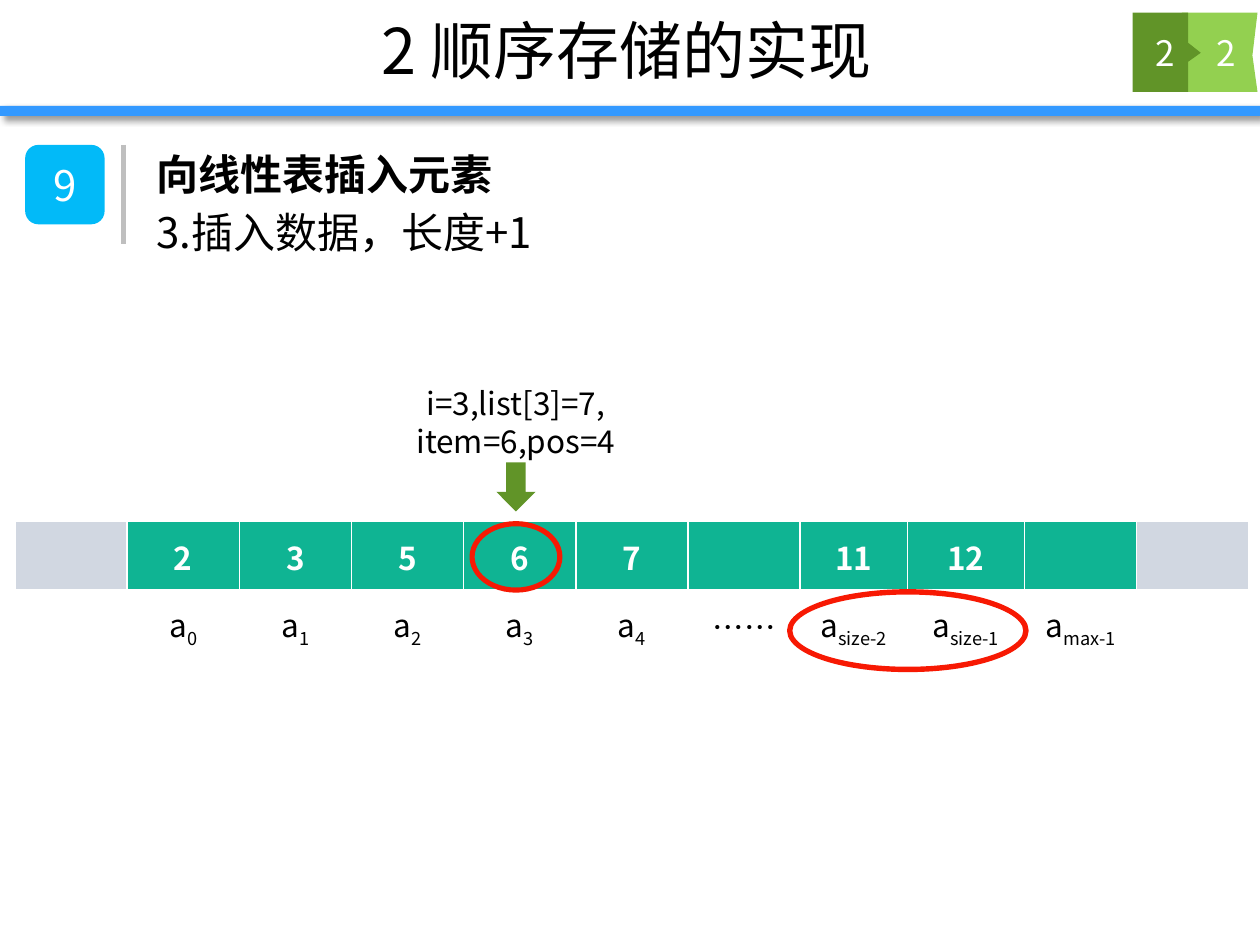
"""Build the slide on inserting an element into a sequentially stored linear list."""
from typing import NamedTuple

from lxml import etree
from pptx import Presentation
from pptx.dml.color import RGBColor
from pptx.enum.shapes import MSO_CONNECTOR, MSO_SHAPE
from pptx.enum.text import MSO_ANCHOR, PP_ALIGN
from pptx.oxml.ns import qn
from pptx.util import Pt

FONT = "Noto Sans CJK SC"
BLACK, WHITE, RED = "000000", "FFFFFF", "F71903"
GREEN, LIME, TEAL, GREY = "619428", "93D050", "0FB493", "D1D7E1"
LEFT, CENTER = PP_ALIGN.LEFT, PP_ALIGN.CENTER
TOP, MIDDLE = MSO_ANCHOR.TOP, MSO_ANCHOR.MIDDLE
RECTANGLE, ROUNDED = MSO_SHAPE.RECTANGLE, MSO_SHAPE.ROUNDED_RECTANGLE
DOWN_ARROW, DONUT = MSO_SHAPE.DOWN_ARROW, MSO_SHAPE.DONUT
STRAIGHT = MSO_CONNECTOR.STRAIGHT


class Box(NamedTuple):
    """Left, top, width and height in points."""
    left: float
    top: float
    width: float
    height: float

    def lengths(self) -> list:
        """Return the four values as lengths."""
        return [Pt(value) for value in self]


class Slot(NamedTuple):
    """One column of the list: its value, index label, subscript, fill and width."""
    value: str = ""
    label: str = ""
    subscript: str = ""
    fill: str = TEAL
    width: float = 64.1


class Caption(NamedTuple):
    """A text box and its format."""
    text: str
    box: Box
    style: dict


SLOTS = [
    Slot(fill=GREY),
    *(Slot(value, "a", str(index)) for index, value in enumerate("23567")),
    Slot(label="……"),
    Slot("11", "a", "size-2", width=61.2),
    Slot("12", "a", "size-1", width=67),
    Slot(label="a", subscript="max-1"),
    Slot(fill=GREY),
]
HEADING = {"size": 24, "align": LEFT, "anchor": TOP, "spacing": 1.2}
PAGE_NUMBER = {"size": 20, "color": WHITE}
CAPTIONS = [
    Caption("2 顺序存储的实现", Box(70.6, 0.7, 575.3, 55.4), {"size": 36}),
    Caption("2", Box(678.2, 7.2, 44.6, 45.4), PAGE_NUMBER),
    Caption("2", Box(643.7, 7.2, 44.6, 45.4), PAGE_NUMBER),
    Caption("向线性表插入元素", Box(82.1, 75.6, 635, 42.5), {**HEADING, "bold": True}),
    Caption("3.插入数据，长度+1", Box(82.1, 108.7, 635, 38.9), HEADING),
    Caption("i=3,list[3]=7,\nitem=6,pos=4", Box(223.9, 215.3, 141.8, 51.1), {}),
]
NEXT_FLAG = [(675.4, 7.2), (718.6, 7.2), (715.7, 31.7), (718.6, 52.6), (675.4, 52.6)]
CURRENT_FLAG = [(647.3, 7.2), (679, 7.2), (679, 24.5), (686.2, 30.2),
                (679, 35.3), (679, 52.6), (647.3, 52.6)]
RINGS = [Box(450.7, 337.7, 136.1, 45.4), Box(269.3, 298.8, 51.1, 38.9)]


def rgb(value: str) -> RGBColor:
    """Turn a hex string into a colour."""
    return RGBColor.from_string(value)


def write(frame, text: str, *, size: float = 18, color: str = BLACK, bold: bool = False,
          align=CENTER, anchor=MIDDLE, spacing: float = 1, subscript: str = "") -> None:
    """Write lines of text, with an optional subscript after each."""
    frame.word_wrap = True
    frame.vertical_anchor = anchor
    for number, line in enumerate(text.split("\n")):
        paragraph = frame.add_paragraph() if number else frame.paragraphs[0]
        paragraph.alignment = align
        paragraph.line_spacing = spacing
        for part, baseline in ((line, None), (subscript, "-25000")):
            if not part:
                continue
            run = paragraph.add_run()
            run.text = part
            run.font.size, run.font.bold, run.font.name = Pt(size), bold, FONT
            run.font.color.rgb = rgb(color)
            properties = run._r.get_or_add_rPr()
            etree.SubElement(properties, qn("a:ea"), typeface=FONT)
            if baseline:
                properties.set("baseline", baseline)


def paint(shape, fill: str, line: str = "", line_width: float = 2):
    """Give a shape a fill, an optional outline and no shadow."""
    shape.shadow.inherit = False
    shape.fill.solid()
    shape.fill.fore_color.rgb = rgb(fill)
    if line:
        shape.line.color.rgb = rgb(line)
        shape.line.width = Pt(line_width)
    else:
        shape.line.fill.background()
    return shape


def add_shape(slide, kind, box: Box, fill: str, line: str = ""):
    """Add a painted preset shape."""
    return paint(slide.shapes.add_shape(kind, *box.lengths()), fill, line)


def add_flag(slide, points: list, fill: str) -> None:
    """Add a closed outline through the points."""
    start, *rest = [(Pt(x), Pt(y)) for x, y in points]
    builder = slide.shapes.build_freeform(*start)
    builder.add_line_segments(rest, close=True)
    paint(builder.convert_to_shape(), fill)


def add_header_bar(slide) -> None:
    """Add the blue bar under the title with its soft shadow."""
    bar = add_shape(slide, RECTANGLE, Box(0, 60.5, 720, 5.8), "3399FF")
    effects = bar._element.spPr.find(qn("a:effectLst"))
    shadow = etree.SubElement(effects, qn("a:outerShdw"), blurRad=str(Pt(4)),
                              dist=str(Pt(3)), dir="2700000", algn="tl", rotWithShape="0")
    color = etree.SubElement(shadow, qn("a:srgbClr"), val=BLACK)
    etree.SubElement(color, qn("a:alpha"), val="40000")


def add_divider(slide) -> None:
    """Add the grey line beside the headings."""
    divider = slide.shapes.add_connector(STRAIGHT, Pt(70.6), Pt(82.8), Pt(70.6), Pt(139.7))
    divider.line.color.rgb = rgb("BFBFBF")
    divider.line.width = Pt(3)
    etree.SubElement(divider._element.spPr, qn("a:effectLst"))


def format_cell(cell, fill: str, bottom: float) -> None:
    """Give a cell white borders and a fill, or none."""
    properties = cell._tc.get_or_add_tcPr()
    for side, width in (("L", 1), ("R", 1), ("T", 1), ("B", bottom)):
        border = etree.SubElement(properties, qn(f"a:ln{side}"), w=str(Pt(width)))
        solid = etree.SubElement(border, qn("a:solidFill"))
        etree.SubElement(solid, qn("a:srgbClr"), val=WHITE)
    if fill:
        cell.fill.solid()
        cell.fill.fore_color.rgb = rgb(fill)
    else:
        cell.fill.background()
    cell.vertical_anchor = MIDDLE


def add_list_table(slide) -> None:
    """Add the list values above their index labels."""
    box = Box(8.6, 298.1, sum(slot.width for slot in SLOTS), 79.2)
    table = slide.shapes.add_table(2, len(SLOTS), *box.lengths()).table
    table.first_row = table.horz_banding = False
    for column, slot in enumerate(SLOTS):
        table.columns[column].width = Pt(slot.width)
        value, label = table.cell(0, column), table.cell(1, column)
        format_cell(value, slot.fill, 3)
        format_cell(label, "", 1)
        write(value.text_frame, slot.value, color=WHITE, bold=True)
        write(label.text_frame, slot.label, subscript=slot.subscript)


def main() -> None:
    """Build and save the slide."""
    deck = Presentation()
    deck.slide_width, deck.slide_height = Pt(720), Pt(540)
    slide = deck.slides.add_slide(deck.slide_layouts[6])
    add_header_bar(slide)
    add_flag(slide, NEXT_FLAG, LIME)
    add_flag(slide, CURRENT_FLAG, GREEN)
    badge = add_shape(slide, ROUNDED, Box(14.4, 82.8, 45.4, 45.4), "02BAF8")
    write(badge.text_frame, "9", size=24, color=WHITE)
    add_divider(slide)
    add_list_table(slide)
    add_shape(slide, DOWN_ARROW, Box(283.7, 264.2, 22.3, 28.1), GREEN)
    for caption in CAPTIONS:
        text_box = slide.shapes.add_textbox(*caption.box.lengths())
        write(text_box.text_frame, caption.text, **caption.style)
    for box in RINGS:
        add_shape(slide, DONUT, box, "4F81BD", RED).adjustments[0] = 0.024
    deck.save("out.pptx")


if __name__ == "__main__":
    main()
